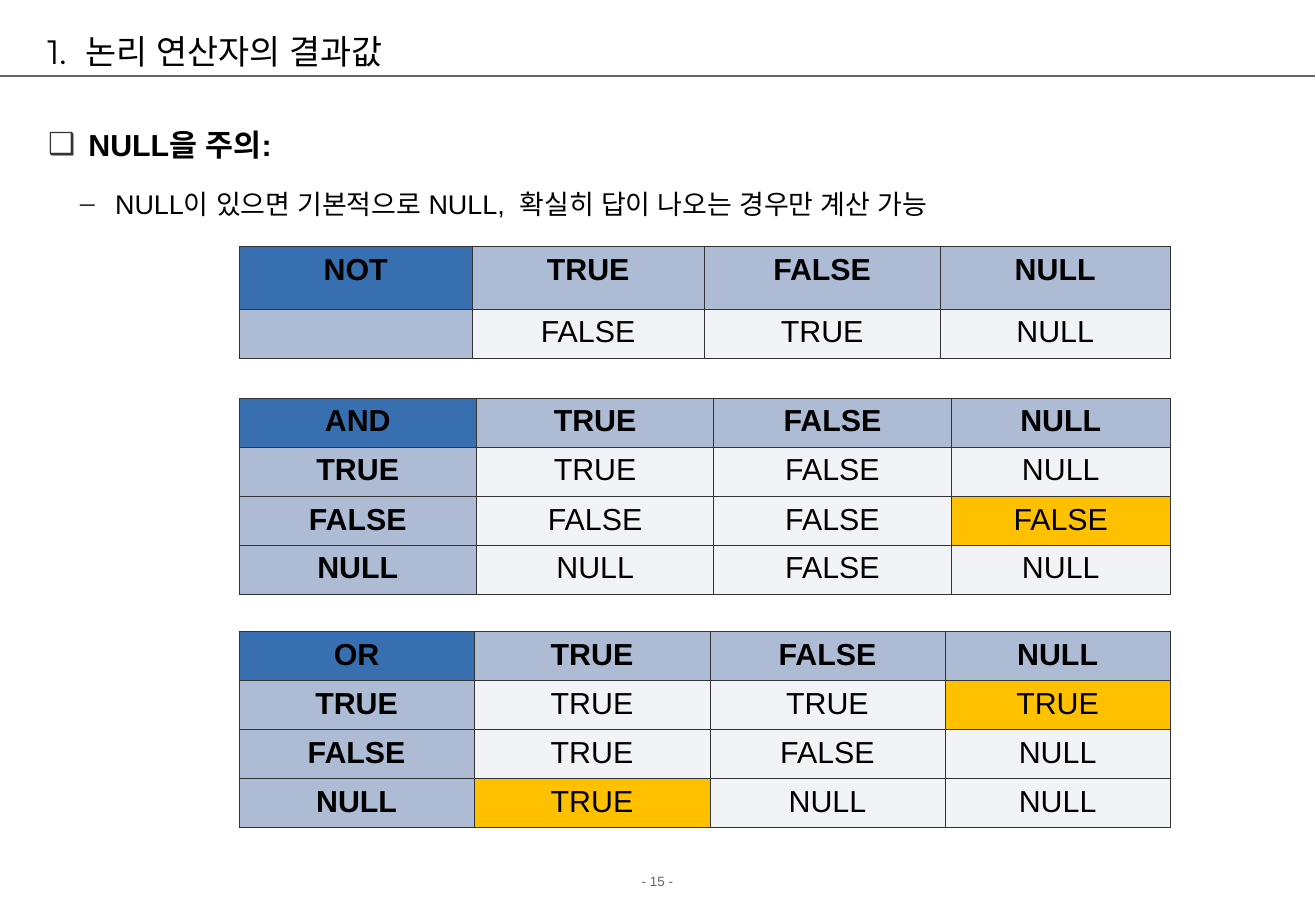
from lxml import etree
from pptx import Presentation
from pptx import util as u
from pptx.dml import color as dml
from pptx.enum import shapes, text
from pptx.oxml import parse_xml
from pptx.oxml import ns


def rgb(value):
    return dml.RGBColor.from_string(value)


def write(paragraph, wording, font, layout):
    run = paragraph.add_run()
    run.text = wording
    run.font.color.rgb = rgb(font.get("color", "000000"))
    for name, value in font.items():
        if name != "color":
            setattr(run.font, name, value)
    etree.SubElement(run._r.get_or_add_rPr(), ns.qn("a:ea"), typeface=font["name"])
    for name, value in layout.items():
        setattr(paragraph, name, value)


presentation = Presentation()
presentation.slide_width = u.Cm(27.53)
presentation.slide_height = u.Cm(19.05)
slide = presentation.slides.add_slide(presentation.slide_layouts[6])

rule = slide.shapes.add_connector(
    shapes.MSO_CONNECTOR.STRAIGHT, u.Cm(0), u.Cm(1.59), u.Cm(27.51), u.Cm(1.59)
)
rule.line.color.rgb = rgb("666666")
rule.line.width = u.Pt(0.75)
etree.SubElement(rule._element.spPr, ns.qn("a:effectLst"))

frames = []
for left, top, width, height, anchor in (
    (0.74, 0.53, 25.83, 1.07, text.MSO_ANCHOR.MIDDLE),
    (0.76, 2.13, 25.83, 3.03, text.MSO_ANCHOR.TOP),
    (0, 18.14, 27.51, 0.61, text.MSO_ANCHOR.TOP),
):
    box = slide.shapes.add_textbox(u.Cm(left), u.Cm(top), u.Cm(width), u.Cm(height))
    box.text_frame.word_wrap = True
    box.text_frame.vertical_anchor = anchor
    frames.append(box.text_frame)

title_frame, body_frame, page_number_frame = frames
title = title_frame.paragraphs[0]
heading = body_frame.paragraphs[0]
detail = body_frame.add_paragraph()
detail.level = 1

for paragraph, margin, hanging, bullet_color, bullet_font, tag, attribute, value in (
    (title, 0.79, 0.79, "000000", "Montserrat", "a:buAutoNum", "type", "arabicPeriod"),
    (heading, 0.84, 0.84, "333333", "Arial", "a:buChar", "char", "❑"),
    (detail, 1.4, 0.74, "333333", "Arial", "a:buChar", "char", "–"),
):
    properties = paragraph._p.get_or_add_pPr()
    properties.set("marL", str(u.Cm(margin)))
    properties.set("indent", str(-u.Cm(hanging)))
    bullet_fill = etree.SubElement(properties, ns.qn("a:buClr"))
    etree.SubElement(bullet_fill, ns.qn("a:srgbClr"), val=bullet_color)
    etree.SubElement(properties, ns.qn("a:buFont"), typeface=bullet_font)
    etree.SubElement(properties, ns.qn(tag), {attribute: value})

write(title, "논리 연산자의 결과값", {"name": "Montserrat", "size": u.Pt(20)}, {})
write(
    heading,
    "NULL을 주의:",
    {"name": "Arial", "size": u.Pt(18), "bold": True},
    {"line_spacing": 1.5},
)
write(
    detail,
    "NULL이 있으면 기본적으로 NULL,  확실히 답이 나오는 경우만 계산 가능",
    {"name": "Arial", "size": u.Pt(16)},
    {"line_spacing": 1.5, "space_before": u.Pt(5)},
)
write(
    page_number_frame.paragraphs[0],
    "- 15 -",
    {"name": "Arial", "size": u.Pt(8), "color": "666666"},
    {"alignment": text.PP_ALIGN.CENTER},
)

T, F, N = "TRUE", "FALSE", "NULL"
truth_tables = (
    (5.16, (4.88, 4.85, 4.94, 4.81), (1.3, 1.03), (("NOT", T, F, N), ("", F, T, N)), ()),
    (
        8.33,
        (4.97, 4.96, 4.97, 4.58),
        (1.02, 1.03) * 2,
        (("AND", T, F, N), (T, T, F, N), (F, F, F, F), (N, N, F, N)),
        ((2, 3),),
    ),
    (
        13.21,
        (4.92, 4.93, 4.92, 4.71),
        (1.02, 1.03) * 2,
        (("OR", T, F, N), (T, T, T, T), (F, T, F, N), (N, T, N, N)),
        ((1, 3), (3, 1)),
    ),
)

for top, widths, heights, rows, highlights in truth_tables:
    table = slide.shapes.add_table(
        len(rows), len(widths), u.Cm(5), u.Cm(top), u.Cm(sum(widths)), u.Cm(sum(heights))
    ).table
    table.first_row = table.horz_banding = False
    for column, width in zip(table.columns, widths):
        column.width = u.Cm(width)
    for row, height in zip(table.rows, heights):
        row.height = u.Cm(height)
    for row_index, words in enumerate(rows):
        for column_index, word in enumerate(words):
            cell = table.cell(row_index, column_index)
            is_header = row_index == 0 or column_index == 0
            fill = "AEBBD5" if is_header else "F2F3F7"
            if row_index == column_index == 0:
                fill = "386FB1"
            elif (row_index, column_index) in highlights:
                fill = "FFC000"
            cell.fill.solid()
            cell.fill.fore_color.rgb = rgb(fill)
            if word:
                write(
                    cell.text_frame.paragraphs[0],
                    word,
                    {"name": "Arial", "size": u.Pt(18), "bold": is_header},
                    {"alignment": text.PP_ALIGN.CENTER},
                )
            for position, side in enumerate("LRTB"):
                border = parse_xml(
                    f'<a:ln{side} {ns.nsdecls("a")} w="{u.Pt(0.45)}"><a:solidFill>'
                    f'<a:srgbClr val="333333"/></a:solidFill></a:ln{side}>'
                )
                cell._tc.get_or_add_tcPr().insert(position, border)

presentation.save("out.pptx")
